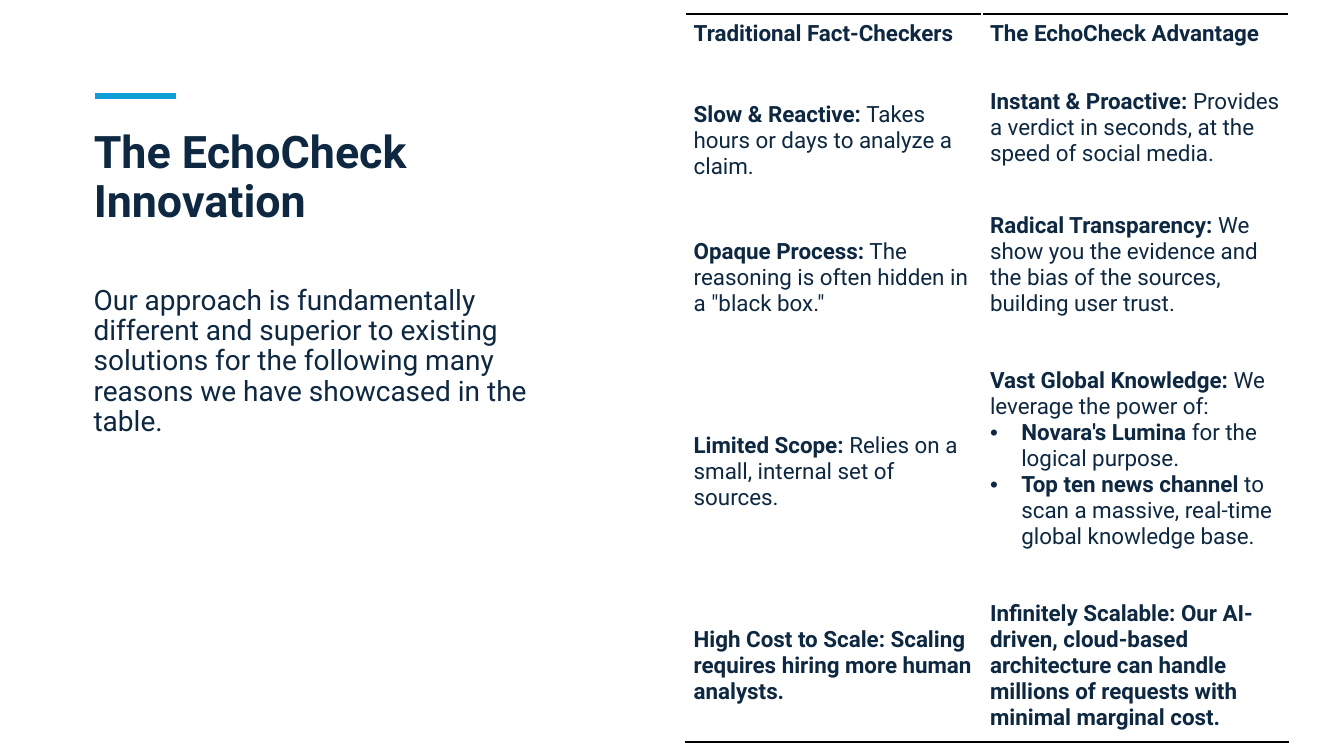
from dataclasses import dataclass

from lxml.etree import SubElement
from pptx import Presentation
from pptx.dml.color import RGBColor
from pptx.enum.shapes import MSO_CONNECTOR
from pptx.enum.text import MSO_ANCHOR, MSO_AUTO_SIZE, PP_ALIGN
from pptx.oxml import parse_xml
from pptx.oxml.ns import nsdecls, qn
from pptx.util import Inches, Pt


@dataclass(frozen=True)
class Theme:
    font: str = "Roboto"
    ink: RGBColor = RGBColor.from_string("0E2841")
    accent: RGBColor = RGBColor.from_string("0F9ED5")
    paper: RGBColor = RGBColor.from_string("FFFFFF")
    title: Pt = Pt(32)
    body: Pt = Pt(20)
    cell: Pt = Pt(16)


theme = Theme()


def add_run(paragraph, text, size, bold=False):
    run = paragraph.add_run()
    run.text = text
    run.font.name = theme.font
    run.font.size = size
    run.font.bold = bold
    run.font.color.rgb = theme.ink


def add_border(cell, edge):
    """Draw a 2 pt black line on one edge: lnT (top) or lnB (bottom)."""
    border = parse_xml(
        f'<a:{edge} {nsdecls("a")} w="25400"><a:solidFill>'
        f'<a:srgbClr val="000000"/></a:solidFill></a:{edge}>')
    cell._tc.get_or_add_tcPr().insert(0, border)


presentation = Presentation()
presentation.slide_width = Inches(13.33)
presentation.slide_height = Inches(7.5)
slide = presentation.slides.add_slide(presentation.slide_layouts[5])

# Title and introduction
title = slide.shapes.title
title.left, title.top = Inches(0.83), Inches(1.24)
title.width, title.height = Inches(5.3), Inches(1.53)
intro = slide.shapes.add_textbox(
    Inches(0.83), Inches(2.79), Inches(4.97), Inches(3.94))
intro_text = (
    "Our approach is fundamentally different and superior to existing solutions "
    "for the following many reasons we have showcased in the table.")
for shape, text, size, bold in (
        (title, "The EchoCheck Innovation", theme.title, True),
        (intro, intro_text, theme.body, False)):
    frame = shape.text_frame
    frame.word_wrap = True
    frame.auto_size = MSO_AUTO_SIZE.NONE
    frame.vertical_anchor = MSO_ANCHOR.TOP
    paragraph = frame.paragraphs[0]
    paragraph.alignment = PP_ALIGN.LEFT
    paragraph.line_spacing = 0.9
    add_run(paragraph, text, size, bold)

accent_line = slide.shapes.add_connector(
    MSO_CONNECTOR.STRAIGHT, Inches(0.94), Inches(0.95), Inches(1.75), Inches(0.95))
accent_line.line.color.rgb = theme.accent
accent_line.line.width = Pt(4.5)
SubElement(accent_line._element.spPr, qn("a:effectLst"))

# Comparison table: each cell is a list of (bold lead, remaining text) paragraphs;
# paragraphs after the first are bulleted
comparison = [
    ([("Traditional Fact-Checkers", "")],
     [("The EchoCheck Advantage", "")]),
    ([("Slow & Reactive:", " Takes hours or days to analyze a claim.")],
     [("Instant & Proactive:",
       " Provides a verdict in seconds, at the speed of social media.")]),
    ([("Opaque Process:", ' The reasoning is often hidden in a "black box."')],
     [("Radical Transparency:",
       " We show you the evidence and the bias of the sources, building user trust.")]),
    ([("Limited Scope:", " Relies on a small, internal set of sources.")],
     [("Vast Global Knowledge:", " We leverage the power of:"),
      ("Novara's Lumina ", "for the logical purpose."),
      ("Top ten news channel ",
       "to scan a massive, real-time global knowledge base.")]),
    ([("High Cost to Scale:", " Scaling requires hiring more human analysts.")],
     [("Infinitely Scalable:",
       " Our AI-driven, cloud-based architecture can handle millions of requests "
       "with minimal marginal cost.")]),
]
column_widths = (2.94, 3.04)
row_heights = (0.65, 1.22, 1.5, 2.35, 1.5)
last_row = len(comparison) - 1

table = slide.shapes.add_table(
    len(comparison), len(column_widths), Inches(6.8), Inches(0.14),
    Inches(sum(column_widths)), Inches(sum(row_heights))).table
table.first_row = False
table.horz_banding = False
for column, width in zip(table.columns, column_widths):
    column.width = Inches(width)
for row, height in zip(table.rows, row_heights):
    row.height = Inches(height)

for row_index, row_cells in enumerate(comparison):
    for column_index, entries in enumerate(row_cells):
        cell = table.cell(row_index, column_index)
        cell.fill.solid()
        cell.fill.fore_color.rgb = theme.paper
        cell.vertical_anchor = MSO_ANCHOR.MIDDLE
        cell.margin_left = cell.margin_right = Inches(0.08)
        cell.margin_top = Inches(0.04)
        # Headings and the right column sit half a line above the middle
        raised = row_index == 0 or (column_index == 1 and row_index < last_row)
        cell.margin_bottom = Inches(0.3 if raised else 0.04)
        if row_index == 0:
            add_border(cell, "lnT")
        if row_index == last_row:
            add_border(cell, "lnB")

        frame = cell.text_frame
        for entry_index, (lead, rest) in enumerate(entries):
            paragraph = frame.add_paragraph() if entry_index else frame.paragraphs[0]
            if entry_index:
                properties = paragraph._p.get_or_add_pPr()
                properties.set("marL", str(Inches(0.31)))
                properties.set("indent", str(-Inches(0.31)))
                SubElement(properties, qn("a:buFont")).set("typeface", "Arial")
                SubElement(properties, qn("a:buChar")).set("char", "•")
            add_run(paragraph, lead, theme.cell, True)
            if rest:
                add_run(paragraph, rest, theme.cell, row_index == last_row)

presentation.save("out.pptx")
